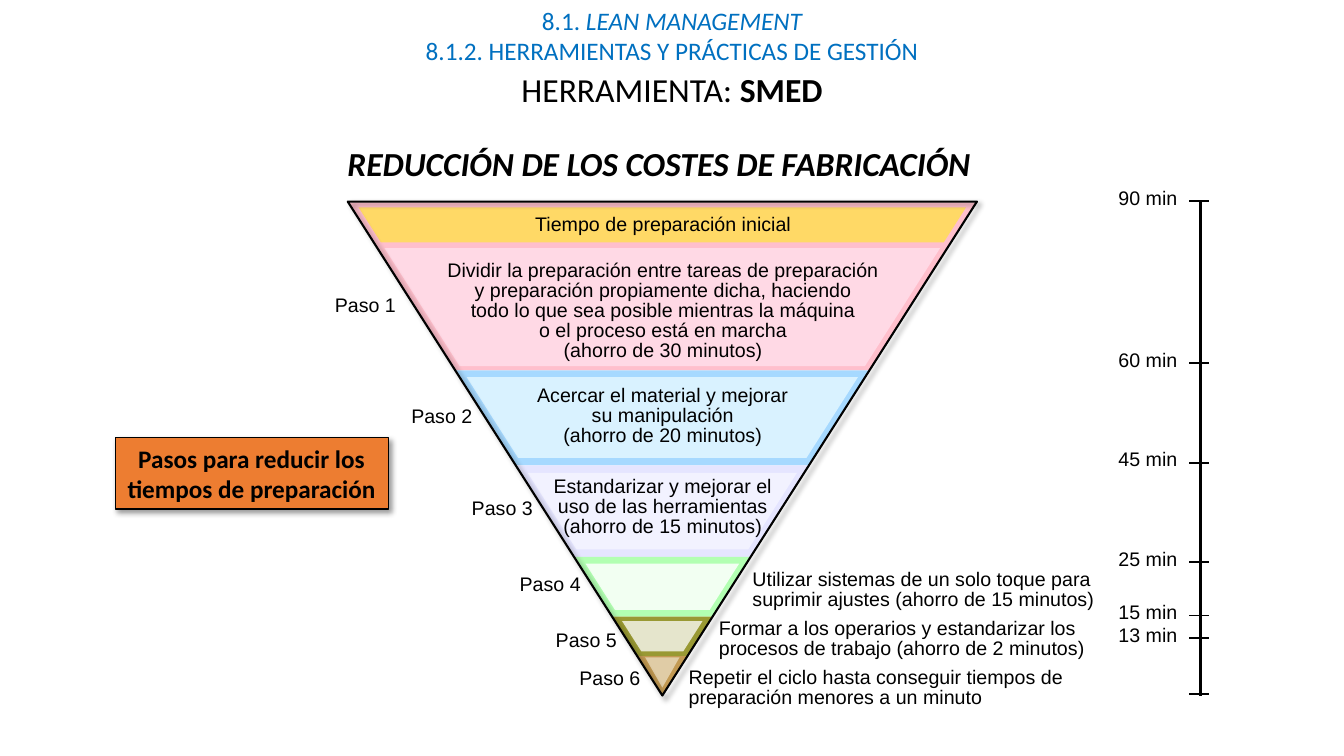
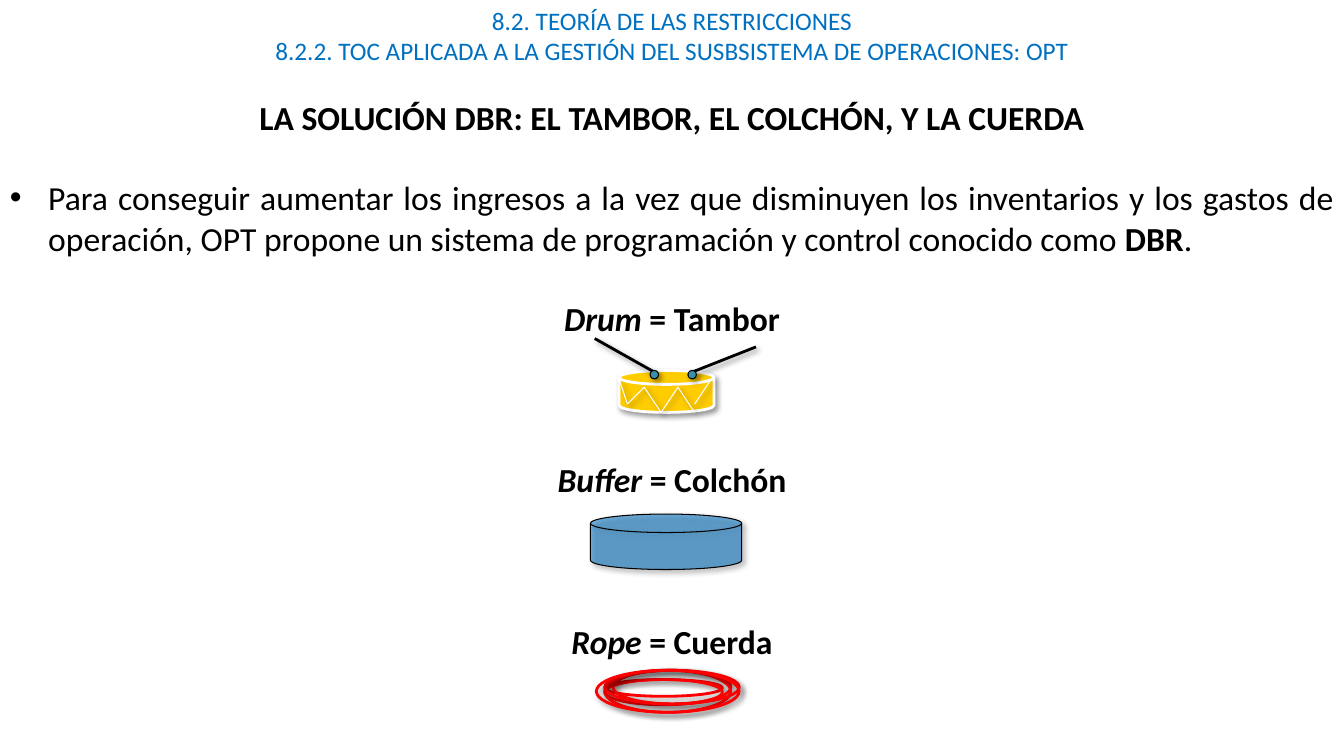
from lxml import etree
from pptx import Presentation
from pptx import util as u
from pptx.dml.color import RGBColor
from pptx.enum import shapes, text
from pptx.oxml import ns

COLUMNS, ROWS = 160, 90
CELL = u.Inches(1 / 12)
BLACK = RGBColor(0x00, 0x00, 0x00)
WHITE = RGBColor(0xFF, 0xFF, 0xFF)
BLUE = RGBColor(0x00, 0x70, 0xC0)
ORANGE = RGBColor(0xED, 0x7D, 0x31)
YELLOW = RGBColor(0xFF, 0xD9, 0x66)
PINK, PALE_PINK = RGBColor(0xFF, 0xBF, 0xCC), RGBColor(0xFF, 0xD9, 0xE5)
SKY, PALE_SKY = RGBColor(0xA6, 0xD9, 0xFF), RGBColor(0xD9, 0xF2, 0xFF)
LILAC, PALE_LILAC = RGBColor(0xE5, 0xE5, 0xFF), RGBColor(0xF2, 0xF2, 0xFF)
GREEN, PALE_GREEN = RGBColor(0xB2, 0xFF, 0xB2), RGBColor(0xF2, 0xFF, 0xF2)
OLIVE, PALE_OLIVE = RGBColor(0x99, 0x99, 0x33), RGBColor(0xE5, 0xE5, 0xCC)
BROWN, PALE_BROWN = RGBColor(0xC2, 0x99, 0x52), RGBColor(0xE0, 0xCC, 0xA6)
GOLD = RGBColor(0xFF, 0xCC, 0x00)
TEAL = RGBColor(0x38, 0x91, 0xA7)
RED = RGBColor(0xFF, 0x00, 0x00)
LEFT, CENTER = text.PP_ALIGN.LEFT, text.PP_ALIGN.CENTER
RIGHT, JUSTIFY = text.PP_ALIGN.RIGHT, text.PP_ALIGN.JUSTIFY
Kind = shapes.MSO_SHAPE


def child(parent, tag, **attributes):
    return etree.SubElement(parent, ns.qn(tag), attributes)


class Deck:
    """Style and current slide; all lengths are cells of a 160 x 90 grid."""

    def __init__(self):
        self.show = Presentation()
        self.show.slide_width = COLUMNS * CELL
        self.show.slide_height = ROWS * CELL

    def new_slide(self, *headings):
        self.slide = self.show.slides.add_slide(self.show.slide_layouts[6])
        for index, heading in enumerate(headings):
            self.text((0, 3.6 * index, COLUMNS, 4.8), [heading], 18, color=BLUE)

    @staticmethod
    def cells(values):
        return [u.Emu(round(value * CELL)) for value in values]

    @staticmethod
    def effects(shape, shadow):
        """Replace the theme's shadow by a soft one, or by none."""
        effect_list = child(shape.element.spPr, "a:effectLst")
        if shadow:
            outer = child(effect_list, "a:outerShdw", blurRad=str(u.Pt(4)), dist=str(u.Pt(3)),
                          dir="2700000", algn="tl", rotWithShape="0")
            child(child(outer, "a:srgbClr", val=str(BLACK)), "a:alpha", val="40000")

    def paint(self, shape, fill, line, width, shadow):
        if fill is None:
            shape.fill.background()
        else:
            shape.fill.solid()
            shape.fill.fore_color.rgb = fill
        if line is None:
            shape.line.fill.background()
        else:
            shape.line.color.rgb = line
            shape.line.width = u.Pt(width)
        self.effects(shape, shadow)
        return shape

    def shape(self, kind, at, fill=None, line=None, width=0.75, shadow=True):
        added = self.slide.shapes.add_shape(kind, *self.cells(at))
        return self.paint(added, fill, line, width, shadow)

    def polygon(self, corners, fill):
        first, *rest = [self.cells(corner) for corner in corners]
        builder = self.slide.shapes.build_freeform(*first, scale=1.0)
        builder.add_line_segments(rest, close=True)
        return self.paint(builder.convert_to_shape(), fill, None, 0, False)

    def line(self, start, end, color=BLACK, width=0.75, shadow=True):
        added = self.slide.shapes.add_connector(
            shapes.MSO_CONNECTOR.STRAIGHT, *self.cells((*start, *end)))
        added.line.color.rgb = color
        added.line.width = u.Pt(width)
        self.effects(added, shadow)

    def fill_text(self, frame, paragraphs, size, style="", font="Calibri", color=BLACK,
                  align=CENTER, spacing=None):
        """Set strings or lists of (text, style); style holds b and/or i."""
        for index, content in enumerate(paragraphs):
            paragraph = frame.paragraphs[0] if index == 0 else frame.add_paragraph()
            paragraph.alignment = align
            paragraph.line_spacing = spacing
            pieces = [(content, style)] if isinstance(content, str) else content
            for words, look in pieces:
                run = paragraph.add_run()
                run.text = words
                run.font.name, run.font.size = font, u.Pt(size)
                run.font.bold, run.font.italic = "b" in look, "i" in look
                run.font.color.rgb = color

    def text(self, at, paragraphs, size, wrap=True, **look):
        frame = self.slide.shapes.add_textbox(*self.cells(at)).text_frame
        frame.word_wrap = wrap
        self.fill_text(frame, paragraphs, size, **look)
        return frame

    def label(self, at, *paragraphs, align=CENTER, wrap=True):
        self.text(at, paragraphs, 14, wrap, font="Arial", align=align, spacing=0.85)


class Funnel:
    """Inverted triangle that is cut into bands."""
    left, top, width, height = 41.4, 24, 74.9, 58.8
    bevel = 0.85

    def __init__(self, deck):
        self.deck = deck

    def band(self, top, bottom, color, inset=0):
        def side(sign, row):
            half = self.width / 2 * (self.top + self.height - row) / self.height - inset
            return self.left + self.width / 2 + sign * half, row

        self.deck.polygon([side(-1, top), side(-1, bottom), side(1, bottom), side(1, top)], color)

    def triangle(self, at, **look):
        self.deck.shape(Kind.ISOSCELES_TRIANGLE, at, **look).rotation = 180

    def draw(self, bands):
        for top, bottom, edge, inner_top, inner_bottom, face in bands:
            self.band(top, bottom, edge)
            self.band(inner_top, inner_bottom, face, self.bevel)
        self.triangle((75.85, 78.1, 6, 4.7), fill=BROWN, shadow=False)
        self.triangle((76.8, 78.25, 4.1, 3.6), fill=PALE_BROWN, shadow=False)
        self.triangle((self.left, self.top, self.width, self.height), line=BLACK, width=1.5)


def smed_slide(deck):
    deck.new_slide([("8.1. ", ""), ("LEAN MANAGEMENT", "i")],
                   "8.1.2. HERRAMIENTAS Y PRÁCTICAS DE GESTIÓN")
    tool = deck.text((0, 8.15, COLUMNS, 14.5), [[("HERRAMIENTA:", ""), (" SMED", "b")]],
                     24, spacing=0.9)
    tool.paragraphs[0].space_before = u.Pt(10)
    deck.text((39.8, 16.4, 77.3, 6), ["REDUCCIÓN DE LOS COSTES DE FABRICACIÓN"],
              24, wrap=False, style="bi")

    Funnel(deck).draw([
        (24.1, 29.05, PINK, 24.7, 28.85, YELLOW),
        (29.05, 44.1, PINK, 29.55, 43.6, PALE_PINK),
        (44.1, 55.4, SKY, 44.9, 54.5, PALE_SKY),
        (55.4, 66.3, LILAC, 56.3, 65.4, PALE_LILAC),
        (66.3, 73.4, GREEN, 67.1, 72.6, PALE_GREEN),
        (73.4, 78.2, OLIVE, 73.95, 77.55, PALE_OLIVE),
    ])
    deck.label((62.3, 25.1, 33.3, 3.7), "Tiempo de preparación inicial", wrap=False)
    deck.label((47.4, 30.5, 63.1, 13.3), "Dividir la preparación entre tareas de preparación",
               "y preparación propiamente dicha, haciendo",
               "todo lo que sea posible mientras la máquina",
               "o el proceso está en marcha", "(ahorro de 30 minutos)")
    deck.label((59.5, 45.4, 38.8, 8.6), "Acercar el material y mejorar", "su manipulación",
               "(ahorro de 20 minutos)")
    deck.label((64.3, 56.3, 29.2, 8.5), "Estandarizar y mejorar el uso de las herramientas",
               "(ahorro de 15 minutos)")
    deck.label((88.4, 67.3, 47.2, 6.2), "Utilizar sistemas de un solo toque para",
               "suprimir ajustes (ahorro de 15 minutos)", align=LEFT)
    deck.label((84.4, 73.2, 49.6, 6.1), "Formar a los operarios y estandarizar los",
               "procesos de trabajo (ahorro de 2 minutos)", align=LEFT)
    deck.label((80.8, 79, 47.3, 6),
               "Repetir el ciclo hasta conseguir tiempos de preparación menores a un minuto",
               align=LEFT)

    step_corners = [(38.5, 34.7), (47.6, 47.9), (54.8, 58.9),
                    (60.5, 67.9), (64.8, 74.6), (67.6, 79.1)]
    for number, corner in enumerate(step_corners, 1):
        deck.label((*corner, 10, 3.7), f"Paso {number}", wrap=False)

    axis, end = 142.9, 82.6
    deck.line((axis, 24), (axis, 82.9), width=2.25, shadow=False)
    ticks = {90: 23.95, 60: 43.2, 45: 55.1, 25: 66.9, 15: 73.3, 13: 75.95}
    for row in [*ticks.values(), end]:
        deck.line((axis - 1.3, row), (axis + 1, row), width=1, shadow=False)
    for minutes, row in ticks.items():
        deck.label((129.35, row - 2, 12, 3.8), f"{minutes} min", align=RIGHT)

    steps = deck.shape(Kind.RECTANGLE, (13.7, 52.1, 32.5, 8.5), ORANGE, BLACK)
    steps.text_frame.word_wrap = True
    deck.fill_text(steps.text_frame, ["Pasos para reducir los tiempos de preparación"], 18, "b")


def draw_drum(deck):
    deck.shape(Kind.FLOWCHART_MAGNETIC_DISK, (73.7, 44.1, 11.3, 5), GOLD, WHITE, 2)
    for tip, handle in (((82.4, 44.3), (90, 41.3)), ((77.9, 44.3), (70.8, 40.3))):
        deck.line(tip, handle, width=2)
        deck.shape(Kind.OVAL, (tip[0] - 0.5, 44.1, 1, 1), TEAL, BLACK)
    lacing = [(73.7, 45.1), (74.7, 48.1), (76.7, 46.1), (78.7, 49.1), (80.7, 46.1), (82.7, 49.1)]
    for start, end in [*zip(lacing, lacing[1:]), ((82.7, 48.1), (84.7, 45.1))]:
        deck.line(start, end, WHITE)


def draw_cushion(deck):
    disk = deck.shape(Kind.FLOWCHART_MAGNETIC_DISK, (70.3, 61.2, 18, 6.6), BLUE, BLACK)
    tint = disk.element.spPr.find(ns.qn("a:solidFill")).find(ns.qn("a:srgbClr"))
    child(tint, "a:alpha", val="54000")


def draw_rope(deck):
    for coil in [(72, 80.9, 14, 2), (72, 80.9, 14, 3), (73, 79.8, 14, 4),
                 (72, 79.8, 15, 5), (72, 79.8, 16, 4), (71, 79.8, 17, 5)]:
        deck.shape(Kind.OVAL, coil, None, RED, 2)


def dbr_slide(deck):
    deck.new_slide("8.2. TEORÍA DE LAS RESTRICCIONES",
                   "8.2.2. TOC APLICADA A LA GESTIÓN DEL SUSBSISTEMA DE OPERACIONES: OPT")
    body = deck.text((0, 10.9, COLUMNS, 69.1), [
        "LA SOLUCIÓN DBR: EL TAMBOR, EL COLCHÓN, Y LA CUERDA",
        [("Para conseguir aumentar los ingresos a la vez que disminuyen los inventarios y los "
          "gastos de operación, OPT propone un sistema de programación y control conocido como ",
          ""), ("DBR", "b"), (".", "")],
        [("Drum", "bi"), (" = Tambor", "b")],
        [("Buffer", "bi"), (" = Colchón", "b")],
        [("Rope", "bi"), (" = Cuerda", "b")],
    ], 24, style="b")
    line_height = 28.8
    for paragraph, gap in zip(body.paragraphs, (0, 1, 1, 3, 3)):
        paragraph.space_before = u.Pt(gap * line_height)
    proposal = body.paragraphs[1]
    proposal.alignment = JUSTIFY
    properties = proposal._p.get_or_add_pPr()
    indent = u.Inches(0.38)
    properties.set("marL", str(indent))
    properties.set("indent", str(-indent))
    child(properties, "a:buFont", typeface="Arial")
    child(properties, "a:buChar", char="•")
    draw_drum(deck)
    draw_cushion(deck)
    draw_rope(deck)


def main():
    deck = Deck()
    smed_slide(deck)
    dbr_slide(deck)
    deck.show.save("out.pptx")


if __name__ == "__main__":
    main()
